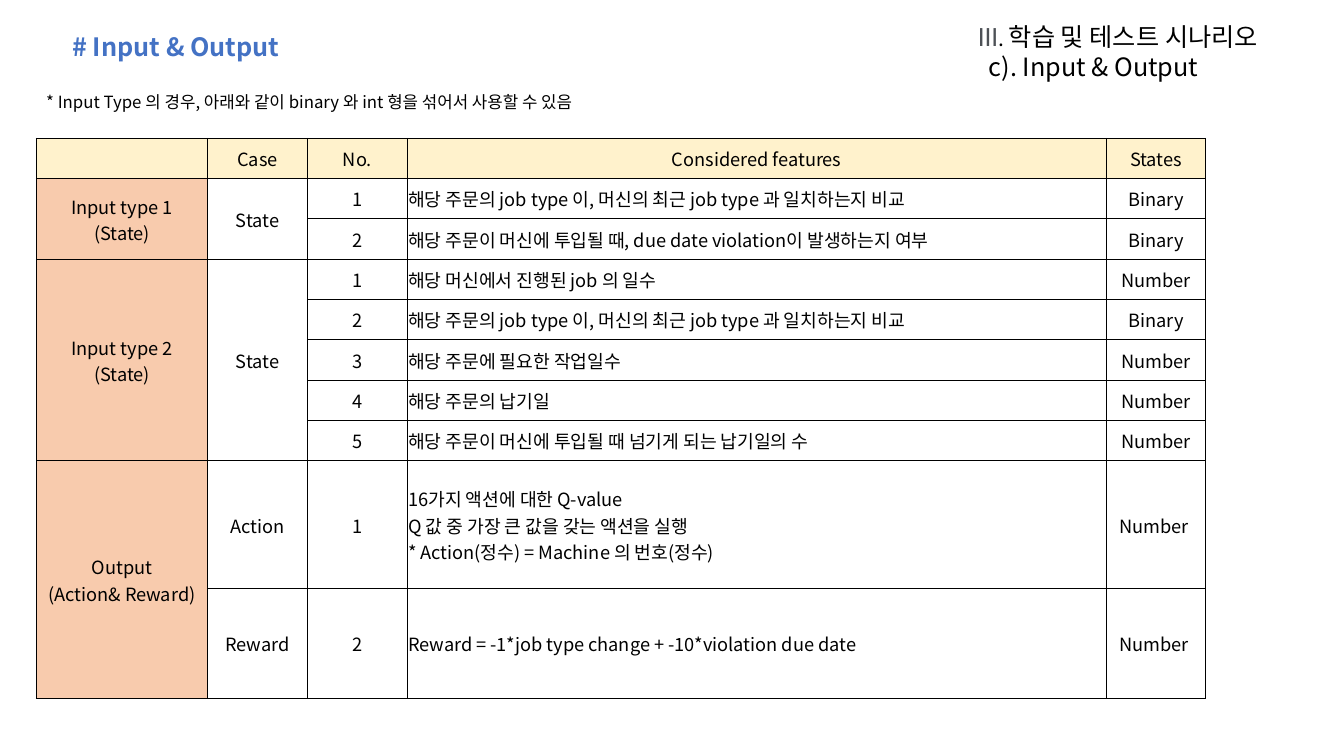
import pptx
import pptx.dml.color
import pptx.enum.text
import pptx.oxml
import pptx.oxml.ns
import pptx.util
from pptx.util import Inches

FONT = "Noto Sans CJK KR"
HEADER_FILL, GROUP_FILL = "FFF2CC", "F8CBAD"
COLUMN_WIDTHS = [1.7, 0.99, 0.99, 6.93, 0.99]
ROW_HEIGHTS = [0.4] * 8 + [1.27, 1.09]
FEATURE_COLUMN = 3
SAME_TYPE = "해당 주문의 job type 이, 머신의 최근 job type 과 일치하는지 비교"
ACTION = ("16가지 액션에 대한 Q-value \vQ 값 중 가장 큰 값을 갖는 액션을 실행 \v"
          "* Action(정수) = Machine 의 번호(정수)")

# None continues the cell above it.
ROWS = [
    ["", "Case", "No.", "Considered features", "States"],
    ["Input type 1\n(State)", "State", "1", SAME_TYPE, "Binary"],
    [None, None, "2", "해당 주문이 머신에 투입될 때, due date violation이 발생하는지 여부", "Binary"],
    ["Input type 2\v(State)", "State", "1", "해당 머신에서 진행된 job 의 일수", "Number"],
    [None, None, "2", SAME_TYPE, "Binary"],
    [None, None, "3", "해당 주문에 필요한 작업일수", "Number"],
    [None, None, "4", "해당 주문의 납기일", "Number"],
    [None, None, "5", "해당 주문이 머신에 투입될 때 넘기게 되는 납기일의 수", "Number"],
    ["Output\v(Action& Reward)", "Action", "1", ACTION, "Number "],
    [None, "Reward", "2", "Reward = -1*job type change + -10*violation due date", "Number "],
]


def rgb(color):
    """Turn a hex string into a colour."""
    return pptx.dml.color.RGBColor.from_string(color)


def format_run(run, size, color="000000", bold=False, font=FONT):
    """Set size, colour, weight and typeface of a run."""
    run.font.size = pptx.util.Pt(size)
    run.font.bold = bold
    run.font.color.rgb = rgb(color)
    run.font.name = font
    east_asian = pptx.oxml.parse_xml(
        f'<a:ea {pptx.oxml.ns.nsdecls("a")} typeface="{font}"/>')
    run.font._element.find(pptx.oxml.ns.qn("a:latin")).addnext(east_asian)


def add_text(slide, left, top, width, height, paragraphs):
    """Add a text box; each paragraph is a list of (text, format) runs."""
    frame = slide.shapes.add_textbox(
        Inches(left), Inches(top), Inches(width), Inches(height)).text_frame
    frame.word_wrap = True
    for index, runs in enumerate(paragraphs):
        paragraph = frame.add_paragraph() if index else frame.paragraphs[0]
        for text, style in runs:
            run = paragraph.add_run()
            run.text = text
            format_run(run, **style)
    return frame


def add_borders(cell):
    """Draw a thin black line on all four sides of a cell."""
    properties = cell._tc.get_or_add_tcPr()
    for index, side in enumerate("LRTB"):
        line = pptx.oxml.parse_xml(
            f'<a:ln{side} {pptx.oxml.ns.nsdecls("a")} w="{pptx.util.Pt(0.5)}">'
            '<a:solidFill><a:srgbClr val="000000"/></a:solidFill>'
            f'</a:ln{side}>')
        properties.insert(index, line)


def format_cell(cell, text, fill, alignment):
    """Fill a table cell, write its text and draw its borders."""
    cell.margin_left = cell.margin_top = cell.margin_right = Inches(0.01)
    cell.margin_bottom = 0
    cell.vertical_anchor = pptx.enum.text.MSO_ANCHOR.MIDDLE
    if fill:
        cell.fill.solid()
        cell.fill.fore_color.rgb = rgb(fill)
    else:
        cell.fill.background()
    add_borders(cell)
    if text:
        cell.text_frame.text = text
    for paragraph in cell.text_frame.paragraphs:
        paragraph.alignment = alignment
        for run in paragraph.runs:
            format_run(run, 13)


def merge_continued(table):
    """Merge each cell with the continuing cells below it."""
    for column in range(len(COLUMN_WIDTHS)):
        start = 0
        for row in range(1, len(ROWS) + 1):
            if row == len(ROWS) or ROWS[row][column] is not None:
                if row - start > 1:
                    table.cell(start, column).merge(table.cell(row - 1, column))
                start = row


def add_feature_table(slide, left, top):
    """Add the table of inputs and outputs."""
    table = slide.shapes.add_table(
        len(ROWS), len(COLUMN_WIDTHS), Inches(left), Inches(top),
        Inches(sum(COLUMN_WIDTHS)), Inches(sum(ROW_HEIGHTS))).table
    table.first_row = table.horz_banding = False
    for column, width in zip(table.columns, COLUMN_WIDTHS):
        column.width = Inches(width)
    for row, height in zip(table.rows, ROW_HEIGHTS):
        row.height = Inches(height)
    align = pptx.enum.text.PP_ALIGN
    for row, texts in enumerate(ROWS):
        for column, text in enumerate(texts):
            fill = HEADER_FILL if row == 0 else GROUP_FILL if column == 0 else None
            is_feature = row > 0 and column == FEATURE_COLUMN
            format_cell(table.cell(row, column), text, fill,
                        align.LEFT if is_feature else align.CENTER)
    merge_continued(table)


def main():
    """Build the slide and save it."""
    presentation = pptx.Presentation()
    presentation.slide_width = Inches(13.33)
    presentation.slide_height = Inches(7.5)
    slide = presentation.slides.add_slide(presentation.slide_layouts[6])

    add_feature_table(slide, 0.36, 1.37)
    add_text(slide, 0.62, 0.26, 2.87, 0.4, [
        [("# Input & Output", dict(size=18, color="4472C4", bold=True))]])
    add_text(slide, 0.36, 0.86, 7.19, 0.3, [
        [("* Input Type 의 경우, 아래와 같이 binary 와 int 형을 섞어서 사용할 수 있음", dict(size=12))]])
    section = add_text(slide, 9.6, 0.16, 3.34, 1.01, [
        [("III", dict(size=18, color="4D5156", font="Roboto")),
         (". ", dict(size=15)),
         ("학습 및 테스트 시나리오", dict(size=18))],
        [("c). Input & Output", dict(size=18))]])
    section.paragraphs[1]._p.get_or_add_pPr().set("marL", str(Inches(0.11)))

    presentation.save("out.pptx")


main()
